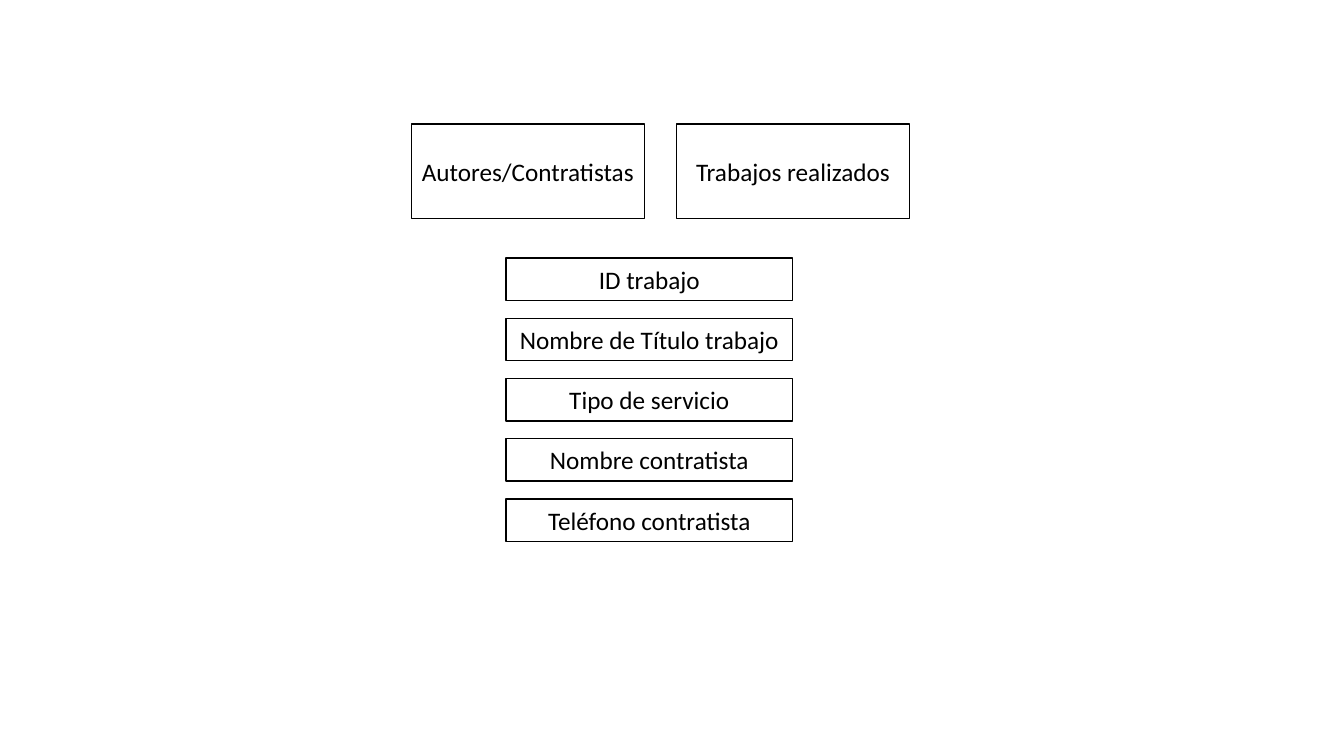
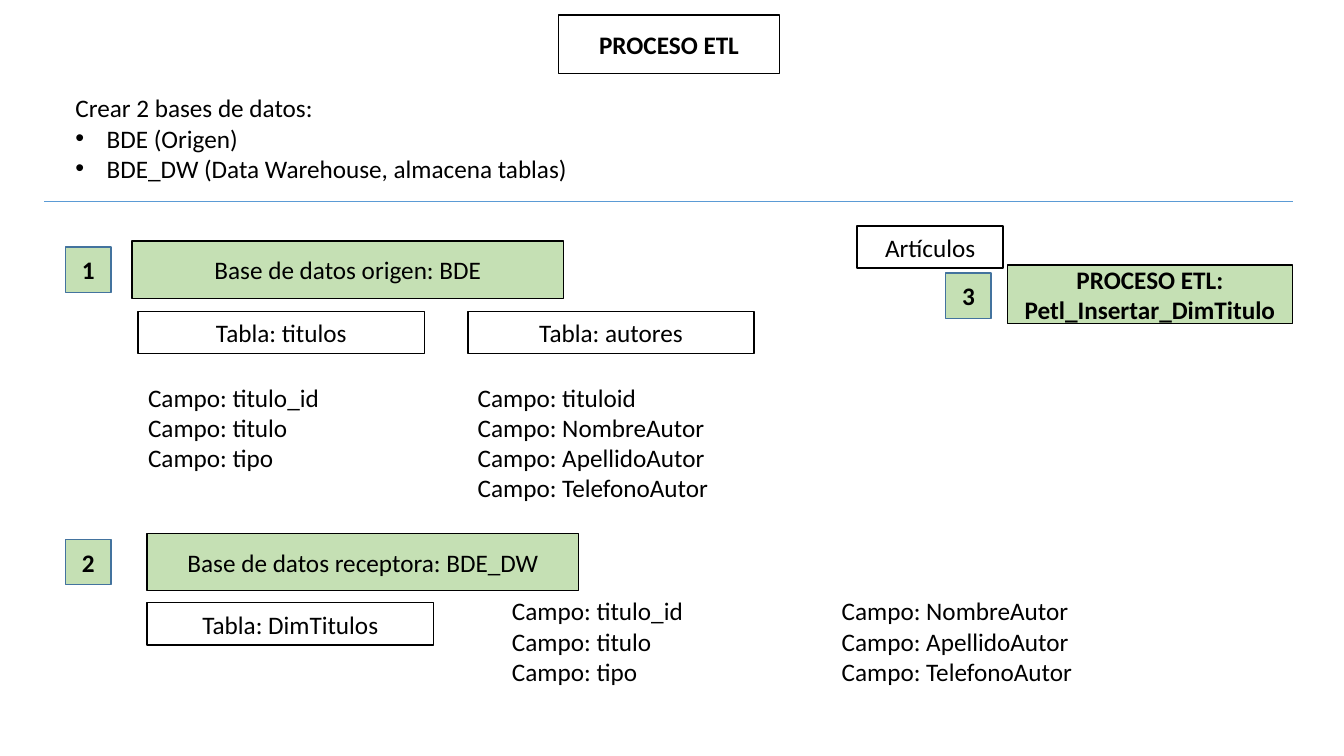
"""Builds two slides on the tables and the ETL process of a works database."""
import pptx
import pptx.util
import pptx.dml.color
import pptx.enum.shapes
import pptx.enum.text
import pptx.oxml
import pptx.oxml.ns

Inches = pptx.util.Inches
RGB = pptx.dml.color.RGBColor
BLACK = RGB(0, 0, 0)
WHITE = RGB(255, 255, 255)
GREEN = RGB(0xC5, 0xE0, 0xB4)
NAVY = RGB(0x43, 0x73, 0x9E)
BLUE = RGB(0x5B, 0x9B, 0xD5)
FONT = "Calibri"
BAR = (2.84, 0.42)
BASE = (4.28, 0.57)
HEAD = (2.31, 0.94)
TAG = (0.45, 0.45)

heads = ["Autores/Contratistas", "Trabajos realizados"]
items = ["ID trabajo", "Nombre de Título trabajo", "Tipo de servicio",
         "Nombre contratista", "Teléfono contratista"]

bases = [("Base de datos origen: BDE", 1.31, 2.39),
         ("Base de datos receptora: BDE_DW", 1.46, 5.29)]
tables = [("Tabla: titulos", 1.37, 3.09), ("Tabla: autores", 4.64, 3.09),
          ("Tabla: DimTitulos", 1.46, 5.98)]
steps = [("1", 0.65, 2.45), ("2", 0.65, 5.35), ("3", 9.38, 2.71)]
work = ["titulo_id", "titulo", "tipo"]
author = ["NombreAutor", "ApellidoAutor", "TelefonoAutor"]
fields = [(work, 1.37, 3.74), (["tituloid"] + author, 4.64, 3.74),
          (work, 4.98, 5.86), (author, 8.25, 5.86)]
intro = ["Crear 2 bases de datos:", "BDE (Origen)",
         "BDE_DW (Data Warehouse, almacena tablas)"]


def bullet(para):
    props = para._p.get_or_add_pPr()
    props.set("marL", str(Inches(0.31)))
    props.set("indent", str(-Inches(0.31)))
    for tag, key, value in (("buFont", "typeface", "Arial"), ("buChar", "char", "•")):
        node = pptx.oxml.parse_xml(f'<a:{tag} {pptx.oxml.ns.nsdecls("a")}/>')
        node.set(key, value)
        props.append(node)


def write(shape, text, bold=False, align="LEFT", anchor="TOP", bullets=False):
    frame = shape.text_frame
    frame.word_wrap = True
    frame.vertical_anchor = getattr(pptx.enum.text.MSO_ANCHOR, anchor)
    for i, line in enumerate(text.split("\n")):
        para = frame.add_paragraph() if i else frame.paragraphs[0]
        para.alignment = getattr(pptx.enum.text.PP_ALIGN, align)
        if bullets and i:
            bullet(para)
        run = para.add_run()
        run.text = line
        run.font.name = FONT
        run.font.size = pptx.util.Pt(18)
        run.font.bold = bold
        run.font.color.rgb = BLACK


def box(slide, text, x, y, size, fill=WHITE, line=BLACK, bold=False):
    shape = slide.shapes.add_shape(pptx.enum.shapes.MSO_SHAPE.RECTANGLE,
                                   *map(Inches, (x, y, *size)))
    shape.shadow.inherit = False
    shape.fill.solid()
    shape.fill.fore_color.rgb = fill
    shape.line.color.rgb = line
    shape.line.width = pptx.util.Pt(1)
    write(shape, text, bold=bold, align="CENTER", anchor="MIDDLE")


def note(slide, lines, x, y, width, bullets=False):
    height = 0.1 + 0.3 * len(lines)
    shape = slide.shapes.add_textbox(*map(Inches, (x, y, width, height)))
    write(shape, "\n".join(lines), bullets=bullets)


def rule(slide, left, right, y):
    line = slide.shapes.add_connector(pptx.enum.shapes.MSO_CONNECTOR.STRAIGHT,
                                      *map(Inches, (left, y, right, y)))
    line.line.color.rgb = BLUE
    line.line.width = pptx.util.Pt(0.5)
    line._element.spPr.append(
        pptx.oxml.parse_xml(f'<a:effectLst {pptx.oxml.ns.nsdecls("a")}/>'))


deck = pptx.Presentation()
deck.slide_width, deck.slide_height = Inches(13.33), Inches(7.5)
model, flow = [deck.slides.add_slide(deck.slide_layouts[6]) for _ in range(2)]

for i, text in enumerate(heads):
    box(model, text, 4.08 + 2.63 * i, 1.23, HEAD)
for i, text in enumerate(items):
    box(model, text, 5.02, 2.56 + 0.5975 * i, BAR)

box(flow, "PROCESO ETL", 5.54, 0.15, (2.19, 0.58), bold=True)
note(flow, intro, 0.65, 0.87, 5.14, bullets=True)
rule(flow, 0.44, 12.82, 2)
for text, x, y in bases:
    box(flow, text, x, y, BASE, fill=GREEN)
for text, x, y in tables:
    box(flow, text, x, y, BAR)
box(flow, "Artículos", 8.5, 2.24, (1.45, 0.42))
box(flow, "PROCESO ETL:\nPetl_Insertar_DimTitulo", 9.99, 2.63, (2.83, 0.58),
    fill=GREEN, bold=True)
for text, x, y in steps:
    box(flow, text, x, y, TAG, fill=GREEN, line=NAVY, bold=True)
for names, x, y in fields:
    note(flow, [f"Campo: {name}" for name in names], x, y, BAR[0])

deck.save("out.pptx")
